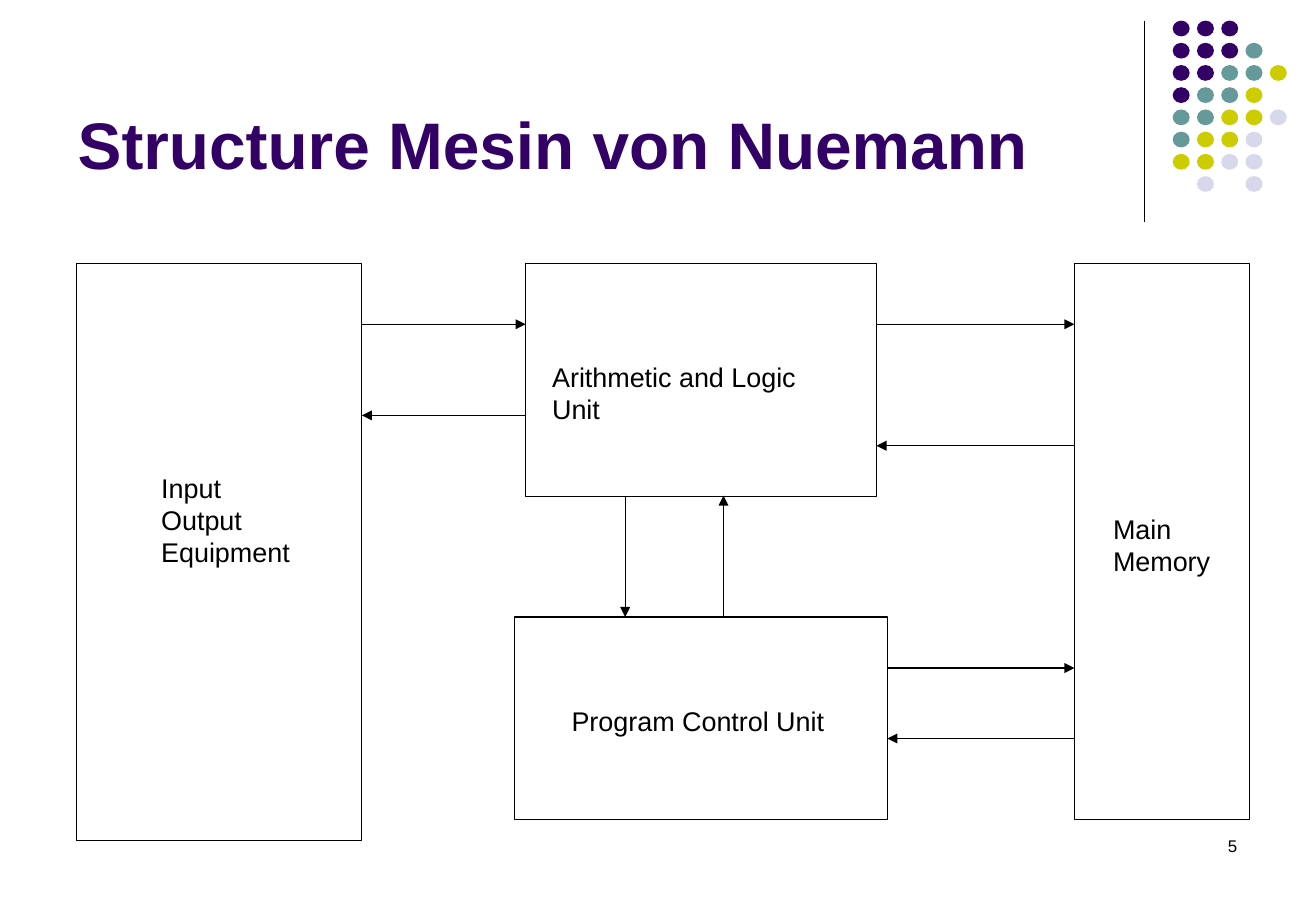
import pptx
import pptx.util
import pptx.dml.color
import pptx.enum.shapes
import pptx.enum.text
import pptx.oxml.ns
import lxml.etree

Inches = pptx.util.Inches
Align = pptx.enum.text.PP_ALIGN
Shape = pptx.enum.shapes.MSO_SHAPE

COLORS = {
    "black": "000000",
    "purple": "330066",
    "teal": "669999",
    "olive": "CCCC00",
    "lavender": "D8D8EC",
}
DOT_COLORS = {"P": "purple", "T": "teal", "O": "olive", "L": "lavender"}
DOT_ROWS = ["PPP", "PPPT", "PPTTO", "PTTO", "TTOOL", "TOOL", "OOLL", " L L"]

UNITS = [
    (0.63, 2.17, 2.35, 4.75),
    (4.33, 2.17, 2.89, 1.92),
    (4.24, 5.08, 3.07, 1.67),
    (8.85, 2.17, 1.44, 4.58),
]
LABELS = [
    (["Main", "Memory"], (9.07, 4.17, 1, 0.64)),
    (["Arithmetic and Logic Unit"], (4.45, 2.92, 2.66, 0.37)),
    (["Program Control Unit"], (4.61, 5.75, 2.28, 0.37)),
    (["Input", "Output", "Equipment"], (1.23, 3.83, 1.26, 0.9)),
]
ARROWS = [
    (2.98, 2.67, 4.33, 2.67),
    (4.33, 3.42, 2.98, 3.42),
    (7.31, 5.5, 8.85, 5.5),
    (8.85, 6.08, 7.31, 6.08),
    (5.15, 4.08, 5.15, 5.08),
    (5.96, 5.08, 5.96, 4.08),
    (7.22, 2.67, 8.85, 2.67),
    (8.85, 3.67, 7.22, 3.67),
]


class SlideBuilder:
    """Adds styled elements to one slide."""

    font_name = "Arial"
    line_width = pptx.util.Pt(0.75)

    def __init__(self, slide):
        self.slide = slide

    def color(self, name):
        return pptx.dml.color.RGBColor.from_string(COLORS[name])

    def run(self, paragraph, text, size, color="black", bold=False, align=Align.LEFT):
        paragraph.alignment = align
        run = paragraph.add_run()
        run.text = text
        run.font.name = self.font_name
        run.font.size = pptx.util.Pt(size)
        run.font.bold = bold
        run.font.color.rgb = self.color(color)

    def title(self, text, box):
        shape = self.slide.shapes.title
        shape.left, shape.top, shape.width, shape.height = map(Inches, box)
        frame = shape.text_frame
        frame.auto_size = pptx.enum.text.MSO_AUTO_SIZE.NONE
        frame.vertical_anchor = pptx.enum.text.MSO_ANCHOR.BOTTOM
        self.run(frame.paragraphs[0], text, 39, "purple", bold=True)

    def text(self, lines, box, size=16, align=Align.LEFT, wrap=False):
        frame = self.slide.shapes.add_textbox(*map(Inches, box)).text_frame
        frame.word_wrap = wrap
        for index, line in enumerate(lines):
            paragraph = frame.add_paragraph() if index else frame.paragraphs[0]
            self.run(paragraph, line, size, align=align)

    def rectangle(self, box):
        shape = self.slide.shapes.add_shape(Shape.RECTANGLE, *map(Inches, box))
        shape.shadow.inherit = False
        shape.fill.background()
        shape.line.color.rgb = self.color("black")
        shape.line.width = self.line_width

    def dot(self, box, color):
        shape = self.slide.shapes.add_shape(Shape.OVAL, *map(Inches, box))
        shape.shadow.inherit = False
        shape.fill.solid()
        shape.fill.fore_color.rgb = self.color(color)
        shape.line.fill.background()

    def line(self, ends, arrow=False):
        connector = self.slide.shapes.add_connector(
            pptx.enum.shapes.MSO_CONNECTOR.STRAIGHT, *map(Inches, ends))
        connector.line.color.rgb = self.color("black")
        connector.line.width = self.line_width
        qualified = pptx.oxml.ns.qn
        properties = connector.element.spPr
        if arrow:
            outline = properties.find(qualified("a:ln"))
            lxml.etree.SubElement(outline, qualified("a:tailEnd"), type="triangle")
        lxml.etree.SubElement(properties, qualified("a:effectLst"))


def main():
    presentation = pptx.Presentation()
    presentation.slide_width = Inches(10.84)
    presentation.slide_height = Inches(7.5)
    title_only = presentation.slide_layouts[5]
    builder = SlideBuilder(presentation.slides.add_slide(title_only))

    builder.line((9.43, 0.17, 9.43, 1.83))
    row_pitch = 1.28 / (len(DOT_ROWS) - 1)
    for row, codes in enumerate(DOT_ROWS):
        for column, code in enumerate(codes):
            if code in DOT_COLORS:
                box = (9.66 + 0.2 * column, 0.17 + row_pitch * row, 0.14, 0.13)
                builder.dot(box, DOT_COLORS[code])

    builder.title("Structure Mesin von Nuemann", (0.54, 0.13, 8.94, 1.42))
    for box in UNITS:
        builder.rectangle(box)
    for lines, box in LABELS:
        builder.text(lines, box)
    for ends in ARROWS:
        builder.line(ends, arrow=True)
    builder.text(["5"], (7.76, 6.83, 2.53, 0.5), size=10, align=Align.RIGHT, wrap=True)

    presentation.save("out.pptx")


if __name__ == "__main__":
    main()
